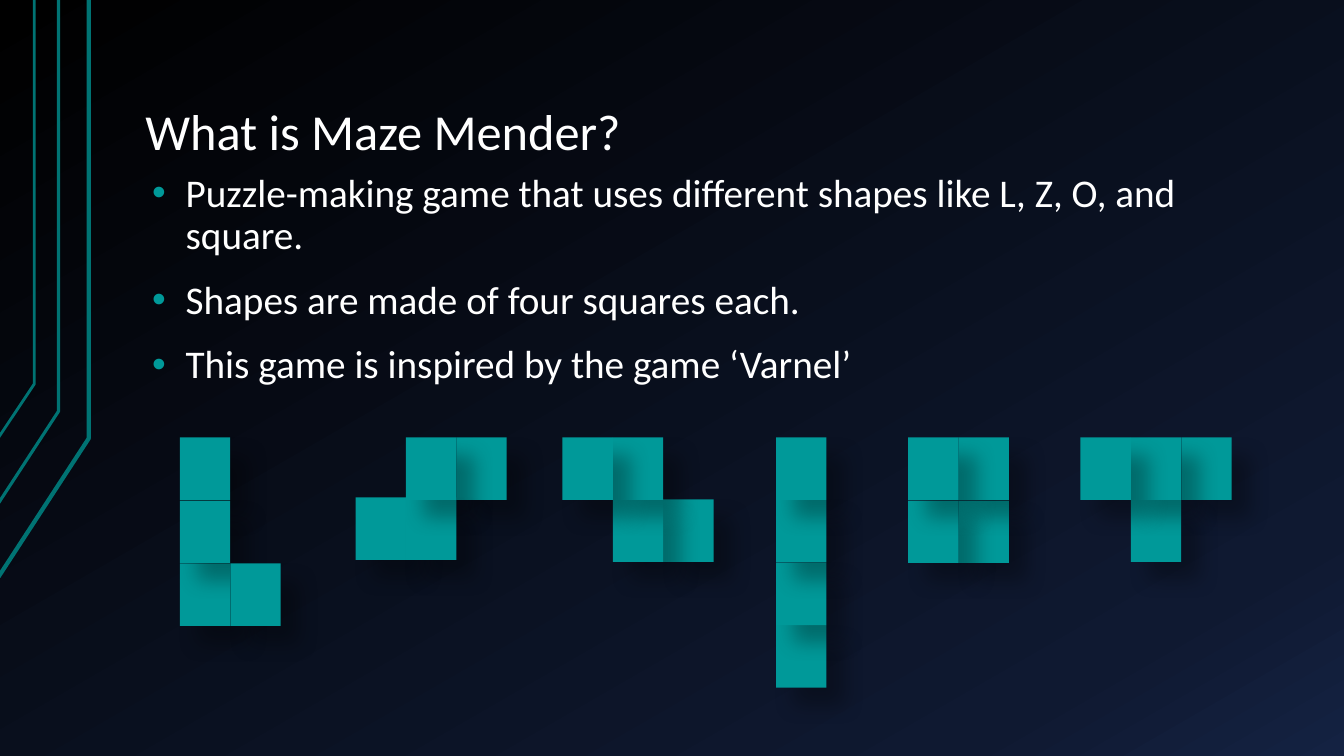
from dataclasses import dataclass

from pptx import Presentation
from pptx.dml.color import RGBColor
from pptx.enum.shapes import MSO_SHAPE as Preset
from pptx.enum.text import MSO_ANCHOR as Anchor, MSO_AUTO_SIZE as AutoSize
from pptx.oxml import parse_xml
from pptx.oxml.ns import nsdecls
from pptx.slide import Slide
from pptx.util import Pt

COLOURS = {"text": "FFFFFF", "block": "009999", "rail": "007373", "shadow": "000000",
           "night": "000000", "dusk": "0F1931", "navy": "142242"}
BACKGROUND_STOPS = ((0, "night"), (85, "dusk"), (100, "navy"))
BLOCK_WIDTH, BLOCK_HEIGHT = Pt(36), Pt(44.6)
PIECES_TOP = 312.5


@dataclass(frozen=True)
class Rail:
    """Bent line at the left edge; lengths in points."""
    right: float
    bend: float
    foot: float
    weight: float


@dataclass(frozen=True)
class Piece:
    """Four blocks as (column, row) cells, from back to front."""
    left: float
    cells: tuple[tuple[int, int], ...]
    row_step: float = 45


@dataclass(frozen=True)
class TextBlock:
    """Text box with its frame, paragraph and font formats."""
    bounds: tuple[float, float, float, float]
    lines: tuple[str, ...]
    size: float
    frame_format: dict
    para_format: dict
    bulleted: bool = False


RAILS = (
    Rail(63.4, 313.2, 412, 3),
    Rail(41.8, 293.8, 359.3, 2.25),
    Rail(24.5, 274.3, 312.5, 2),
)
PIECES = (
    Piece(401.75, ((2, 1), (1, 1), (1, 0), (0, 0)), 44.2),
    Piece(254, ((2, 0), (0, 1), (1, 1), (1, 0)), 42.8),
    Piece(554.4, ((0, 3), (0, 2), (0, 1), (0, 0)), 44.7),
    Piece(648.75, ((1, 1), (0, 1), (1, 0), (0, 0))),
    Piece(771.8, ((1, 1), (2, 0), (1, 0), (0, 0)), 44.2),
    Piece(128.5, ((0, 0), (0, 2), (0, 1), (1, 2))),
)
TITLE = TextBlock(
    (94.3, 23.8, 815.8, 96.5), ("What is Maze Mender?",), 36,
    {"vertical_anchor": Anchor.BOTTOM, "margin_left": Pt(9.6), "margin_right": Pt(9.6),
     "margin_top": Pt(4.8), "margin_bottom": Pt(4.8)},
    {"line_spacing": 0.9},
)
BODY = TextBlock(
    (101.5, 120.2, 807.8, 162.7),
    ("Puzzle-making game that uses different shapes like L, Z, O, and square.",
     "Shapes are made of four squares each.",
     "This game is inspired by the game \u2018Varnel\u2019"),
    28, {"auto_size": AutoSize.SHAPE_TO_FIT_TEXT},
    {"line_spacing": 0.9, "space_before": Pt(16)}, bulleted=True,
)


def colour(name: str) -> RGBColor:
    """Look up a named colour."""
    return RGBColor.from_string(COLOURS[name])


def apply_format(target, values: dict) -> None:
    """Set each attribute named in the format."""
    for name, value in values.items():
        setattr(target, name, value)


def paint_background(slide: Slide) -> None:
    """Fill the slide with the diagonal night gradient."""
    stops = "".join(f'<a:gs pos="{pos * 1000}"><a:srgbClr val="{COLOURS[name]}"/></a:gs>'
                    for pos, name in BACKGROUND_STOPS)
    slide.element.cSld.insert(0, parse_xml(
        f'<p:bg {nsdecls("p", "a")}><p:bgPr><a:gradFill rotWithShape="1">'
        f'<a:gsLst>{stops}</a:gsLst><a:lin ang="{60 * 60000}" scaled="0"/></a:gradFill>'
        '<a:effectLst/></p:bgPr></p:bg>'))


def draw_rail(slide: Slide, rail: Rail) -> None:
    """Draw one bent line running down and off to the left."""
    builder = slide.shapes.build_freeform(Pt(-1), Pt(rail.foot))
    builder.add_line_segments(
        [(Pt(rail.right), Pt(rail.bend)), (Pt(rail.right), 0)], close=False)
    line = builder.convert_to_shape()
    line.shadow.inherit = False
    line.fill.background()
    line.line.color.rgb = colour("rail")
    line.line.width = Pt(rail.weight)


def draw_piece(slide: Slide, piece: Piece) -> None:
    """Draw the four shadowed blocks of a piece as one group."""
    group = slide.shapes.add_group_shape()
    for column, row in piece.cells:
        block = group.shapes.add_shape(
            Preset.RECTANGLE, Pt(piece.left) + column * BLOCK_WIDTH,
            Pt(PIECES_TOP + row * piece.row_step), BLOCK_WIDTH, BLOCK_HEIGHT)
        block.fill.solid()
        block.fill.fore_color.rgb = colour("block")
        block.line.fill.background()
        block.element.spPr.append(parse_xml(
            f'<a:effectLst {nsdecls("a")}><a:outerShdw blurRad="{Pt(15)}" dist="{Pt(18)}" '
            f'dir="{45 * 60000}" algn="tl" rotWithShape="0">'
            f'<a:srgbClr val="{COLOURS["shadow"]}"><a:alpha val="30000"/></a:srgbClr>'
            '</a:outerShdw></a:effectLst>'))


def add_bullet(para) -> None:
    """Give a paragraph a coloured hanging bullet."""
    properties = para._p.get_or_add_pPr()
    properties.set("marL", str(Pt(24)))
    properties.set("indent", str(Pt(-24)))
    for xml in (f'<a:buClr {nsdecls("a")}><a:srgbClr val="{COLOURS["block"]}"/></a:buClr>',
                f'<a:buFont {nsdecls("a")} typeface="Arial"/>',
                f'<a:buChar {nsdecls("a")} char="\u2022"/>'):
        properties.append(parse_xml(xml))


def write_text(slide: Slide, block: TextBlock) -> None:
    """Place a text box and write its lines."""
    box = slide.shapes.add_textbox(*map(Pt, block.bounds))
    frame = box.text_frame
    apply_format(frame, {"word_wrap": True, **block.frame_format})
    for index, line in enumerate(block.lines):
        para = frame.add_paragraph() if index else frame.paragraphs[0]
        apply_format(para, block.para_format)
        if block.bulleted:
            add_bullet(para)
        span = para.add_run()
        span.text = line
        apply_format(span.font, {"name": "Calibri", "size": Pt(block.size)})
        span.font.color.rgb = colour("text")


def main() -> None:
    """Build and save the deck."""
    deck = Presentation()
    apply_format(deck, {"slide_width": Pt(960), "slide_height": Pt(540)})
    slide = deck.slides.add_slide(deck.slide_layouts[6])
    paint_background(slide)
    for rail in RAILS:
        draw_rail(slide, rail)
    write_text(slide, TITLE)
    for piece in PIECES:
        draw_piece(slide, piece)
    write_text(slide, BODY)
    deck.save("out.pptx")


main()
